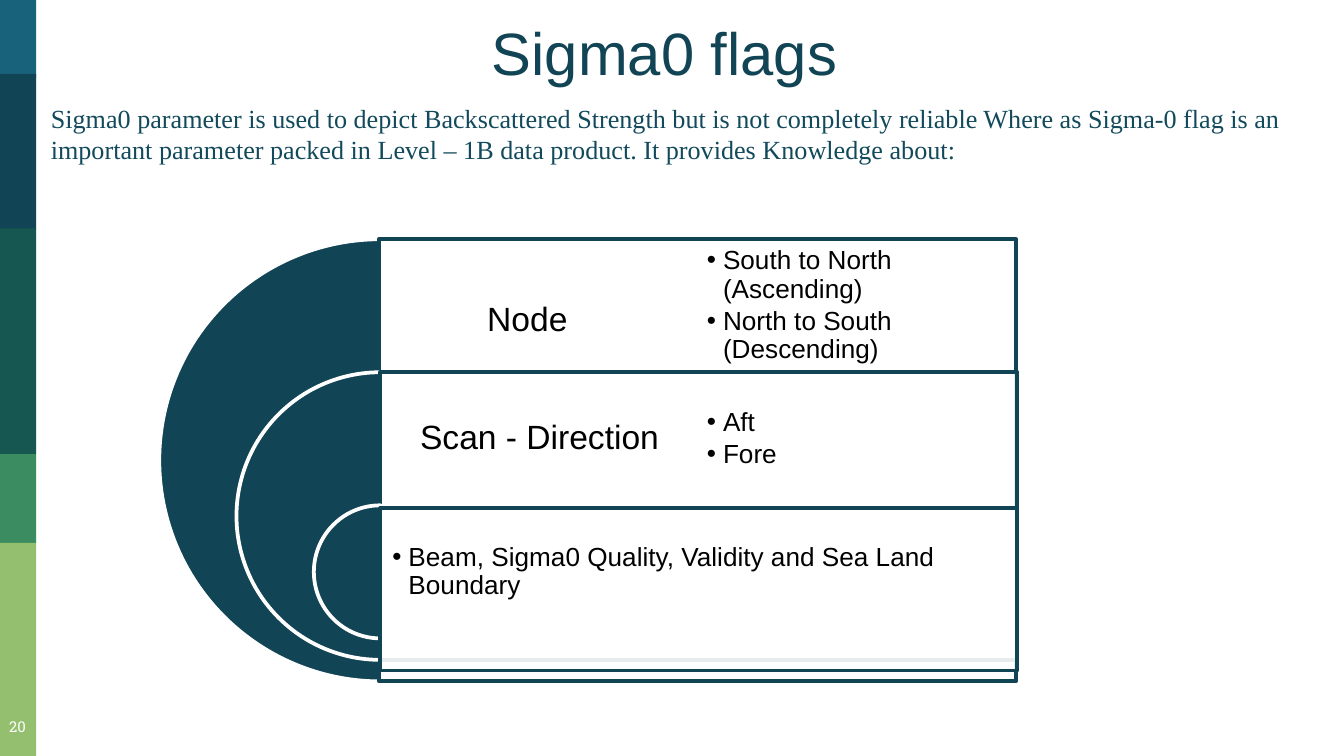
import pptx
import pptx.util
import pptx.dml.color
import pptx.enum.shapes
import pptx.enum.text
import pptx.oxml.ns
from lxml import etree

Inches = pptx.util.Inches
Pt = pptx.util.Pt
SHAPES = pptx.enum.shapes.MSO_SHAPE
ALIGN = pptx.enum.text.PP_ALIGN
ANCHOR = pptx.enum.text.MSO_ANCHOR
qn = pptx.oxml.ns.qn

COLORS = {
    "blue": "18637B",
    "navy": "114454",
    "teal": "165751",
    "green": "3B8D61",
    "lime": "94BF6E",
    "intro": "124A5C",
    "white": "FFFFFF",
    "black": "000000",
}


def rgb(name):
    return pptx.dml.color.RGBColor.from_string(COLORS[name])


def add_block(slide, kind, box, fill, line=None, opacity=None):
    """Add a filled preset shape, outlined only if a line colour is given."""
    block = slide.shapes.add_shape(kind, *map(Inches, box))
    block.shadow.inherit = False
    block.fill.solid()
    block.fill.fore_color.rgb = rgb(fill)
    if opacity is not None:
        color = block.fill._xPr.find(".//" + qn("a:srgbClr"))
        etree.SubElement(color, qn("a:alpha"), val=str(opacity * 1000))
    if line:
        block.line.color.rgb = rgb(line)
        block.line.width = Pt(2)
    else:
        block.line.fill.background()
    return block


def add_half_disc(slide, center, top, diameter):
    box = (center - diameter / 2, top, diameter, diameter)
    disc = add_block(slide, SHAPES.PIE, box, "navy", line="white")
    # Left half: from 90 to 270 degrees
    disc.adjustments[0] = 54
    disc.adjustments[1] = 162


def add_bullet(paragraph, indent, color, font):
    properties = paragraph._p.get_or_add_pPr()
    properties.set("marL", str(Inches(indent)))
    properties.set("indent", str(-Inches(indent)))
    bullet_color = etree.SubElement(properties, qn("a:buClr"))
    etree.SubElement(bullet_color, qn("a:srgbClr"), val=COLORS[color])
    etree.SubElement(properties, qn("a:buFont"), typeface=font)
    etree.SubElement(properties, qn("a:buChar"), char="•")


def add_text(slide, box, lines, size, color="black", font="Arial", align=ALIGN.LEFT,
             anchor=ANCHOR.TOP, inset=(0.1, 0.05), spacing=None, after=None,
             bullets=False, wrap=True):
    """Add a text box with one paragraph per line and return its paragraphs."""
    frame = slide.shapes.add_textbox(*map(Inches, box)).text_frame
    frame.word_wrap = wrap
    frame.vertical_anchor = anchor
    frame.margin_left = frame.margin_right = Inches(inset[0])
    frame.margin_top = frame.margin_bottom = Inches(inset[1])
    for number, line in enumerate(lines):
        paragraph = frame.add_paragraph() if number else frame.paragraphs[0]
        paragraph.alignment = align
        if spacing:
            paragraph.line_spacing = spacing
        if after:
            paragraph.space_after = Pt(after)
        if bullets:
            add_bullet(paragraph, 0.12, color, font)
        run = paragraph.add_run()
        run.text = line
        run.font.size = Pt(size)
        run.font.name = font
        run.font.color.rgb = rgb(color)
    return frame.paragraphs


def add_label(slide, box, text):
    return add_text(slide, box, [text], 18, align=ALIGN.CENTER, anchor=ANCHOR.MIDDLE,
                    inset=(0.07, 0.07), spacing=0.9, after=6.3)


def add_details(slide, box, lines):
    add_text(slide, box, lines, 14, anchor=ANCHOR.MIDDLE, inset=(0.06, 0.06),
             spacing=0.9, after=2.1, bullets=True)


def add_side_band(slide):
    # Name, top, height
    bands = [
        ("blue", 0, 0.58),
        ("navy", 0.55, 1.16),
        ("teal", 1.7, 1.68),
        ("green", 3.38, 0.66),
        ("lime", 4.04, 1.59),
    ]
    for name, top, height in bands:
        add_block(slide, SHAPES.RECTANGLE, (0, top, 0.27, height), name)
    add_text(slide, (-0.06, 5.27, 0.38, 0.35), ["20"], 8, color="white",
             font="Roboto Slab", align=ALIGN.CENTER, inset=(0.1, 0.1))


def add_flag_diagram(slide):
    center, width, row_height = 2.83, 4.74, 0.99
    half = width / 2
    # Label, panel left, top, disc diameter, panel top, panel height
    levels = [
        ("Node", 2.82, 1.78, 3.29, 1.78, 3.29),
        ("Scan - Direction", 2.83, 2.77, 2.14, 2.77, 2.14),
        (None, 2.83, 3.76, 0.99, 3.78, 1.21),
    ]
    for label, left, top, diameter, panel_top, panel_height in levels:
        add_half_disc(slide, center, top, diameter)
        add_block(slide, SHAPES.RECTANGLE, (left, panel_top, width, panel_height),
                  "white", line="navy", opacity=90)
        if label:
            paragraphs = add_label(slide, (left, top, half, row_height), label)
            if label == "Node":
                # A large trailing space sets the height of this line
                spacer = paragraphs[0].add_run()
                spacer.text = " "
                spacer.font.size = Pt(42)
                spacer.font.name = "Arial"

    # Bulleted details of each level
    add_details(slide, (5.2, 1.78, half, row_height),
                ["South to North (Ascending)", "North to South (Descending)"])
    add_details(slide, (5.2, 2.77, half, row_height), ["Aft", "Fore"])
    add_details(slide, (2.86, 3.76, 4.64, row_height),
                ["Beam, Sigma0 Quality, Validity and Sea Land Boundary"])


def main():
    deck = pptx.Presentation()
    # Widescreen, 16:9
    deck.slide_width = Inches(10)
    deck.slide_height = Inches(10 * 9 / 16)
    slide = deck.slides.add_slide(deck.slide_layouts[6])

    add_side_band(slide)

    # Title and introduction
    add_text(slide, (3.55, 0.07, 2.79, 0.64), ["Sigma0 flags"], 32, color="navy",
             align=ALIGN.CENTER, wrap=False)
    add_text(slide, (0.28, 0.71, 9.44, 0.57),
             ["Sigma0 parameter is used to depict Backscattered Strength but is not "
              "completely reliable Where as Sigma-0 flag is an important parameter packed "
              "in Level – 1B data product. It provides Knowledge about:"],
             14, color="intro", font="Times New Roman")

    add_flag_diagram(slide)
    deck.save("out.pptx")


if __name__ == "__main__":
    main()
